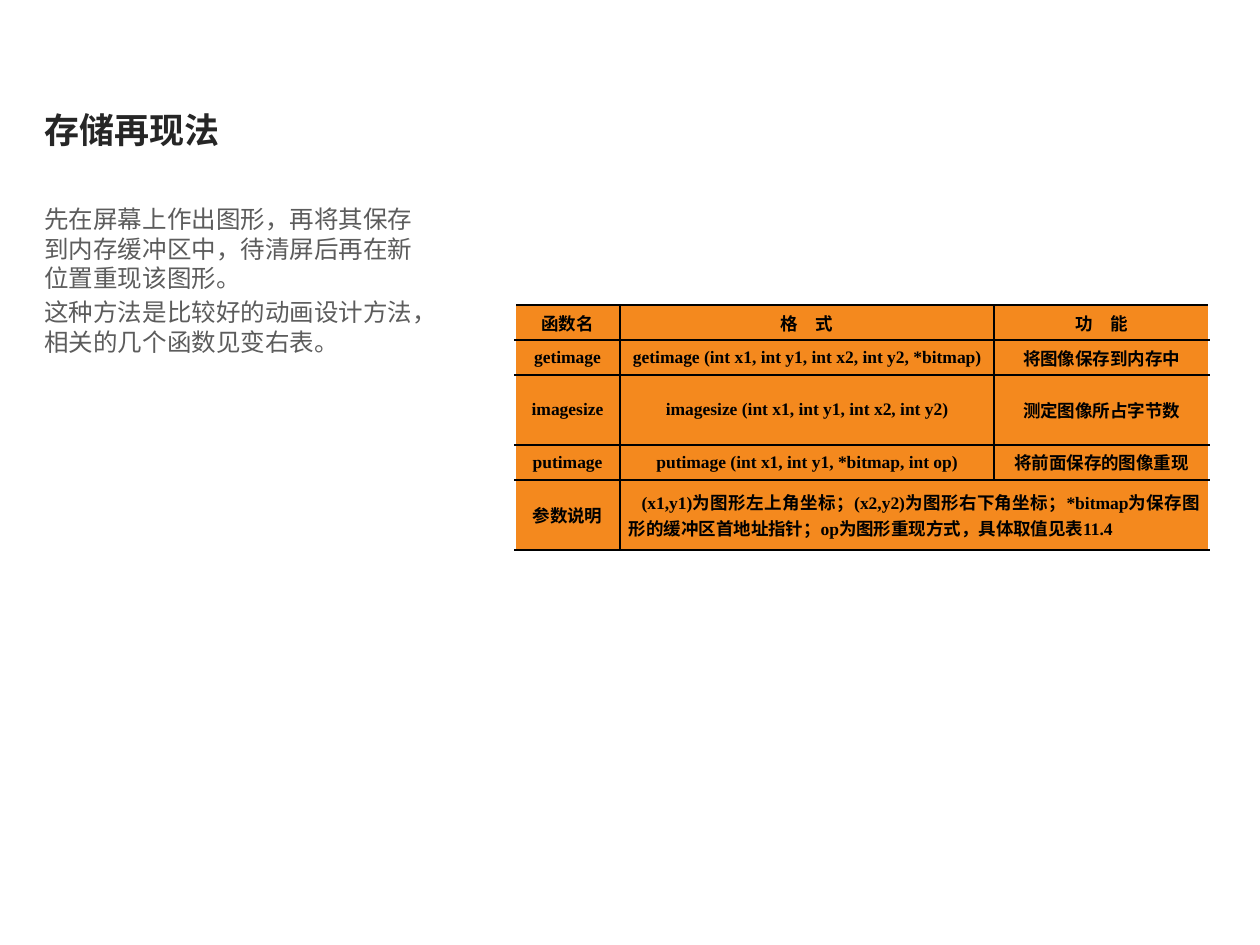
from typing import Any, NamedTuple

from lxml import etree
from pptx import Presentation
from pptx import util as u
from pptx.dml.color import RGBColor
from pptx.enum import text
from pptx.oxml import ns

PX = 914400 / 126
HUES = {"title": "262626", "body": "5C5C5C", "ink": "000000", "cell": "F4891E"}
CELL = {"name": "Times New Roman", "size": u.Pt(10), "bold": True}
MID, JUST = text.PP_ALIGN.CENTER, text.PP_ALIGN.JUSTIFY
COLS = [105, 374, 215]
ROWS = [35, 35, 70, 35, 70]
GRID = [
    ["函数名", "格　式", "功　能"],
    ["getimage", "getimage (int x1, int y1, int x2, int y2, *bitmap)", "将图像保存到内存中"],
    ["imagesize", "imagesize (int x1, int y1, int x2, int y2)", "测定图像所占字节数"],
    ["putimage", "putimage (int x1, int y1, *bitmap, int op)", "将前面保存的图像重现"],
    ["参数说明", "(x1,y1)为图形左上角坐标；(x2,y2)为图形右下角坐标；*bitmap为保存图形的缓冲区首地址指针；"
     "op为图形重现方式，具体取值见表11.4"],
]


class Block(NamedTuple):
    box: tuple[int, int, int, int]
    lines: list[str]
    hue: str
    font: dict[str, Any]
    frame: dict[str, Any]
    para: dict[str, Any]


BLOCKS = [
    Block((32, 84, 415, 114), ["存储再现法"], "title",
          {"name": "Calibri", "size": u.Pt(20), "bold": True},
          {"vertical_anchor": text.MSO_ANCHOR.BOTTOM, "margin_bottom": u.Inches(0.38)}, {}),
    Block((32, 198, 415, 527),
          ["先在屏幕上作出图形，再将其保存到内存缓冲区中，待清屏后再在新位置重现该图形。",
           "这种方法是比较好的动画设计方法，相关的几个函数见变右表。"], "body",
          {"name": "Calibri", "size": u.Pt(14)}, {}, {"space_before": u.Pt(2.8)}),
]


def emu(px: int) -> int:
    return round(px * PX)


def put(item: Any, vals: dict[str, Any]) -> None:
    for key, val in vals.items():
        setattr(item, key, val)


def style(par: Any, font: dict[str, Any], hue: str) -> None:
    put(par.font, font)
    par.font.color.rgb = RGBColor.from_string(HUES[hue])


def draw_block(slide: Any, block: Block) -> None:
    frame = slide.shapes.add_textbox(*map(emu, block.box)).text_frame
    put(frame, {"word_wrap": True, **block.frame})
    frame.text = "\n".join(block.lines)
    for num, par in enumerate(frame.paragraphs):
        style(par, block.font, block.hue)
        if num:
            put(par, block.para)


def edge(cell: Any, sides: str) -> None:
    props = cell._tc.get_or_add_tcPr()
    for num, side in enumerate(sides):
        line = etree.Element(ns.qn(f"a:ln{side}"), w=str(u.Pt(1)))
        fill = etree.SubElement(line, ns.qn("a:solidFill"))
        etree.SubElement(fill, ns.qn("a:srgbClr"), val=HUES["ink"])
        props.insert(num, line)


def fill_cell(cell: Any, words: str, sides: str, align: Any) -> None:
    cell.text = words
    put(cell, {"vertical_anchor": text.MSO_ANCHOR.MIDDLE, "margin_left": emu(9),
               "margin_right": emu(9), "margin_top": 0, "margin_bottom": 0})
    cell.fill.solid()
    cell.fill.fore_color.rgb = RGBColor.from_string(HUES["cell"])
    edge(cell, sides)
    par = cell.text_frame.paragraphs[0]
    put(par, {"alignment": align, "space_before": u.Pt(3), "space_after": u.Pt(3)})
    if align == JUST:
        par._p.get_or_add_pPr().set("indent", str(u.Inches(0.1)))
    style(par, CELL, "ink")


def draw_table(slide: Any, left: int, top: int) -> None:
    size = (emu(sum(COLS)), emu(sum(ROWS)))
    table = slide.shapes.add_table(len(ROWS), len(COLS), emu(left), emu(top), *size).table
    put(table, {"first_row": False, "horz_banding": False})
    for col, wide in zip(table.columns, COLS):
        col.width = emu(wide)
    for row, high in zip(table.rows, ROWS):
        row.height = emu(high)
    last = len(ROWS) - 1
    table.cell(last, 1).merge(table.cell(last, 2))
    for r, line in enumerate(GRID):
        for c, words in enumerate(line):
            sides = "RTB" if c == 0 else "LTB" if c == len(line) - 1 else "LRTB"
            fill_cell(table.cell(r, c), words, sides, JUST if (r, c) == (last, 1) else MID)
    edge(table.cell(last, 2), "TB")


def main() -> None:
    deck = Presentation()
    put(deck, {"slide_width": u.Inches(10), "slide_height": u.Inches(7.5)})
    slide = deck.slides.add_slide(deck.slide_layouts[6])
    for block in BLOCKS:
        draw_block(slide, block)
    draw_table(slide, 515, 305)
    deck.save("out.pptx")


if __name__ == "__main__":
    main()
